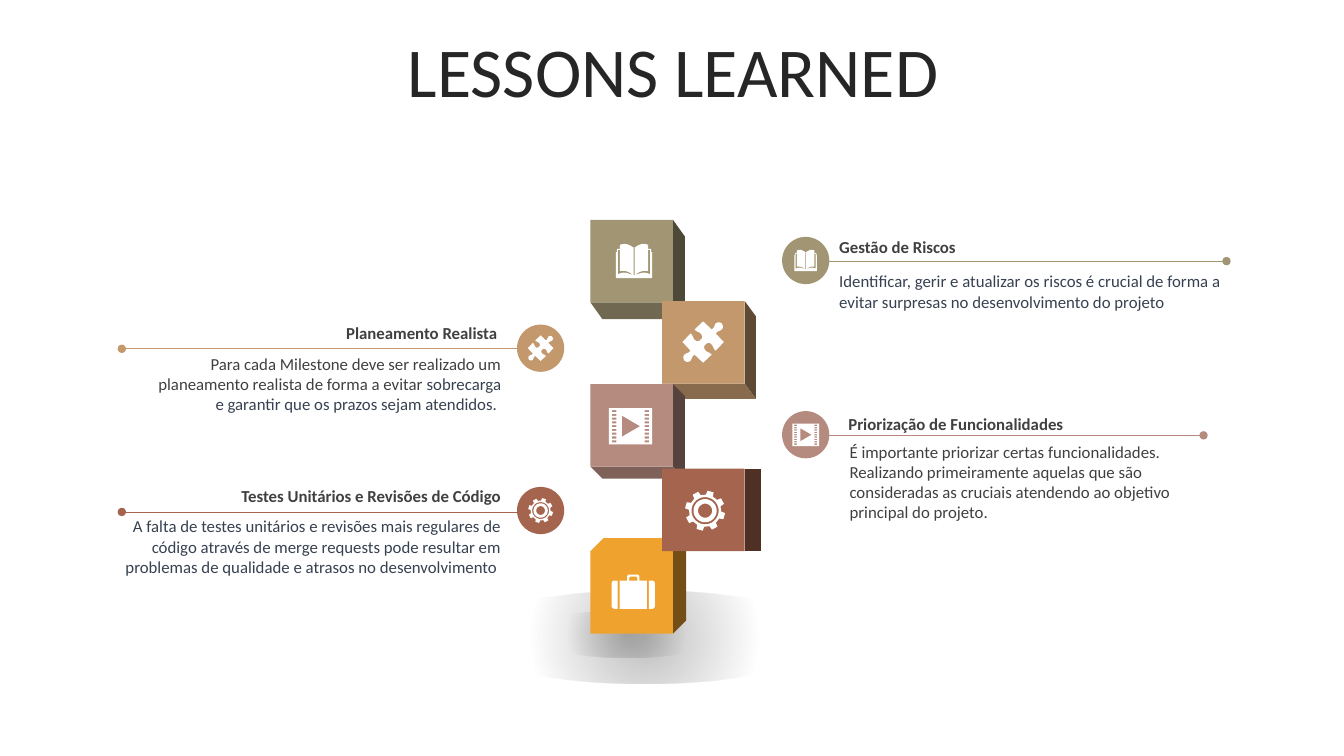
import math

import lxml.etree
import pptx
import pptx.dml.color
import pptx.enum.shapes
import pptx.enum.text
import pptx.oxml
import pptx.oxml.ns
import pptx.util

Cm = pptx.util.Cm
RGBColor = pptx.dml.color.RGBColor
MSO_SHAPE = pptx.enum.shapes.MSO_SHAPE
PP_ALIGN = pptx.enum.text.PP_ALIGN

OLIVE = RGBColor(0xA1, 0x95, 0x74)
TAN = RGBColor(0xC3, 0x98, 0x6D)
ROSE = RGBColor(0xB5, 0x8B, 0x80)
AMBER = RGBColor(0xF0, 0xA2, 0x2E)
RUST = RGBColor(0xA5, 0x64, 0x4E)
WHITE = RGBColor(0xFF, 0xFF, 0xFF)
TITLE_INK = RGBColor(0x26, 0x26, 0x26)
INK = RGBColor(0x40, 0x40, 0x40)
SLATE = RGBColor(0x37, 0x41, 0x51)

FONT = "Calibri"
CUBE_SIDE = 2.08
BADGE_SIZE = 1.19
RULE_LENGTH = 10.01
ICON_UNIT = 0.0254
BADGE_ICON_SCALE = 0.62


# Outlines: a pair is a corner, a triple of pairs is a cubic curve
def flatten(outline):
    points = []
    for step in outline:
        if not isinstance(step[0], tuple):
            points.append(step)
            continue
        controls = (points[-1], *step)
        for i in range(1, 7):
            t = i / 6
            weights = ((1 - t) ** 3, 3 * t * (1 - t) ** 2, 3 * t * t * (1 - t), t ** 3)
            points.append(tuple(sum(w * c[axis] for w, c in zip(weights, controls))
                                for axis in (0, 1)))
    return points


def mirrored(points):
    return [(-x, y) for x, y in reversed(points)]


def box(left, top, right, bottom):
    return [(left, top), (right, top), (right, bottom), (left, bottom)]


def circle(radius):
    return [(radius * math.cos(math.tau * i / 36), radius * math.sin(math.tau * i / 36))
            for i in range(36)]


# Icons: lists of contours around a centre
def book_icon():
    cover = flatten([(-18, 17), (-18, -9), (-17, -9), (-17, -12), (-14, -12), (-14, -16),
                     ((-12, -17), (-10, -17), (-9, -17)), ((-6, -17), (-3, -15), (0, -13))])
    slot = flatten([(-16, -11), (-16, 13), ((-10, 10), (-6, 12), (-1, 14)),
                    ((-5, 10), (-10, 9), (-14, 10)), (-14, -11)])
    return [cover + mirrored(cover), slot, mirrored(slot), box(-0.5, -13, 0.5, 14)]


def puzzle_icon():
    half = flatten([
        (18.5, -18.5), ((19.5, -16.5), (20.5, -14.5), (18.5, -12.5)),
        ((16.5, -10.5), (14.5, -11.5), (12.5, -8.5)), (20.5, 0), (12.5, 8.5),
        ((9.5, 6.5), (10.5, 3.5), (7.5, 1.5)), ((6.5, 0.5), (3.5, 0.5), (2.5, 2.5)),
        ((0.5, 3.5), (0.5, 6.5), (2.5, 8.5)), ((4.5, 10.5), (5.5, 9.5), (8.5, 12.5)),
        (0, 20.5), (-8.5, 12.5), ((-11.5, 14.5), (-10.5, 15.5), (-12.5, 18.5)),
        ((-14.5, 20.5), (-17.5, 19.5), (-18.5, 18.5))])
    return [half + [(-x, -y) for x, y in half]]


def film_icon():
    contours = [box(-21.5, -18, 21.5, 18), [(-8.5, -10.5), (-8.5, 10.5), (9.5, 0)]]
    for row in range(9):
        top = -16 + 3.75 * row
        contours += [box(left, top, left + 4.5, top + 2) for left in (-18.5, 14)]
    return contours


def gear_icon():
    teeth = []
    for tooth in range(8):
        for radius, offset in ((16, -13), (20, -9), (20, 9), (16, 13)):
            angle = math.radians(16 + 45 * tooth + offset)
            teeth.append((radius * math.cos(angle), radius * math.sin(angle)))
    return [teeth, circle(13.5), circle(11.5), circle(7)]


def suitcase_icon():
    end = flatten([(-15.5, -11), (-15.5, 17), (-18.5, 17),
                   ((-20, 17), (-21.5, 16), (-21.5, 14)), (-21.5, -8),
                   ((-21.5, -10), (-20, -11), (-18.5, -11))])
    body = flatten([(-13.5, 17), (-13.5, -11), (-6, -11), (-6, -15),
                    ((-6, -16), (-5, -17), (-4.5, -17))])
    grip = flatten([(-4, -11), (-4, -13), ((-4, -14), (-3.5, -15), (-3, -15))])
    return [end, mirrored(end), body + mirrored(body), grip + mirrored(grip)]


# Drawing helpers
def paint(shape, colour):
    shape.shadow.inherit = False
    shape.fill.solid()
    shape.fill.fore_color.rgb = colour
    shape.line.fill.background()


def add_outline(slide, contours, colour):
    first, *others = [[(Cm(x), Cm(y)) for x, y in contour] for contour in contours]
    builder = slide.shapes.build_freeform(*first[0])
    builder.add_line_segments(first[1:])
    for contour in others:
        builder.move_to(*contour[0])
        builder.add_line_segments(contour[1:])
    paint(builder.convert_to_shape(), colour)


def add_icon(slide, contours, x, y, scale=1.0):
    unit = ICON_UNIT * scale
    add_outline(slide, [[(x + unit * px, y + unit * py) for px, py in contour]
                        for contour in contours], WHITE)


def shade(colour, factor):
    return RGBColor(*(round(channel * factor) for channel in colour))


def add_cube(slide, left, top, colour, depth_x, depth_y, cap_shade):
    right, bottom = left + CUBE_SIDE, top + CUBE_SIDE
    add_outline(slide, [[(right, top), (right + depth_x, top + depth_y),
                         (right + depth_x, bottom + depth_y), (right, bottom)]],
                shade(colour, 0.48))
    if depth_y:
        edge = bottom if depth_y > 0 else top
        add_outline(slide, [[(left, edge), (right, edge), (right + depth_x, edge + depth_y),
                             (left + depth_x, edge + depth_y)]], shade(colour, cap_shade))
    front = slide.shapes.add_shape(MSO_SHAPE.RECTANGLE, Cm(left), Cm(top),
                                   Cm(CUBE_SIDE), Cm(CUBE_SIDE))
    paint(front, colour)


def add_ground_shadow(slide, left, top, width, height):
    ground = slide.shapes.add_shape(MSO_SHAPE.OVAL, Cm(left), Cm(top), Cm(width), Cm(height))
    paint(ground, WHITE)
    fade = pptx.oxml.parse_xml(
        f'<a:gradFill {pptx.oxml.ns.nsdecls("a")} rotWithShape="1"><a:gsLst>'
        '<a:gs pos="0"><a:srgbClr val="808080"><a:alpha val="51000"/></a:srgbClr></a:gs>'
        '<a:gs pos="60000"><a:srgbClr val="808080"><a:alpha val="0"/></a:srgbClr></a:gs>'
        '<a:gs pos="100000"><a:srgbClr val="808080"><a:alpha val="0"/></a:srgbClr></a:gs>'
        '</a:gsLst><a:path path="circle"><a:fillToRect l="50000" t="50000" r="50000" b="50000"/>'
        '</a:path></a:gradFill>')
    properties = ground.fill._xPr
    properties.replace(properties.find(pptx.oxml.ns.qn("a:solidFill")), fade)


def add_rule(slide, left, y, colour, dot_end):
    rule = slide.shapes.add_connector(pptx.enum.shapes.MSO_CONNECTOR.STRAIGHT, Cm(left), Cm(y),
                                      Cm(left + RULE_LENGTH), Cm(y))
    rule.line.color.rgb = colour
    rule.line.width = pptx.util.Pt(0.5)
    qn = pptx.oxml.ns.qn
    lxml.etree.SubElement(rule.line._get_or_add_ln(), qn(f"a:{dot_end}"), type="oval")
    lxml.etree.SubElement(rule._element.spPr, qn("a:effectLst"))


def add_text(slide, left, top, width, height, parts, align, bold=False):
    caption = slide.shapes.add_textbox(Cm(left), Cm(top), Cm(width), Cm(height))
    caption.text_frame.word_wrap = True
    paragraph = caption.text_frame.paragraphs[0]
    paragraph.alignment = align
    for words, colour in parts:
        run = paragraph.add_run()
        run.text = words
        run.font.name, run.font.size, run.font.bold = FONT, pptx.util.Pt(12), bold
        run.font.color.rgb = colour


def add_lesson(slide, badge, rule, heading_box, body_box, colour, icon, heading, body, align):
    disc = slide.shapes.add_shape(MSO_SHAPE.OVAL, Cm(badge[0]), Cm(badge[1]),
                                  Cm(BADGE_SIZE), Cm(BADGE_SIZE))
    paint(disc, colour)
    add_text(slide, *body_box, body, align)
    add_text(slide, *heading_box, 9.4, 0.76, [(heading, INK)], align, bold=True)
    add_rule(slide, *rule, colour, "tailEnd" if align == PP_ALIGN.LEFT else "headEnd")
    add_icon(slide, icon, badge[0] + BADGE_SIZE / 2, badge[1] + BADGE_SIZE / 2, BADGE_ICON_SCALE)


def add_title(slide, words):
    title = slide.shapes.title
    title.left, title.top, title.width, title.height = Cm(0.89), Cm(0.94), Cm(32.16), Cm(2.01)
    frame = title.text_frame
    frame.text = words
    frame.auto_size = pptx.enum.text.MSO_AUTO_SIZE.NONE
    frame.vertical_anchor = pptx.enum.text.MSO_ANCHOR.MIDDLE
    paragraph = frame.paragraphs[0]
    paragraph.alignment, paragraph.line_spacing = PP_ALIGN.CENTER, 0.8
    font = paragraph.runs[0].font
    font.name, font.size, font.color.rgb = FONT, pptx.util.Pt(50), TITLE_INK


def main():
    deck = pptx.Presentation()
    deck.slide_width, deck.slide_height = Cm(33.87), Cm(19.05)
    slide = deck.slides.add_slide(deck.slide_layouts[5])
    add_title(slide, "LESSONS LEARNED")
    book, puzzle, film, gear = book_icon(), puzzle_icon(), film_icon(), gear_icon()

    # Lessons on both sides
    add_lesson(slide, (19.71, 5.97), (20.9, 6.58), (20.9, 5.84), (20.9, 6.71, 10.34, 1.27),
               OLIVE, book, "Gestão de Riscos",
               [("Identificar, gerir e atualizar os riscos é crucial de forma a evitar surpresas "
                 "no desenvolvimento do projeto", SLATE)], PP_ALIGN.LEFT)
    add_lesson(slide, (13.03, 8.18), (3.07, 8.79), (3.48, 8), (3.48, 8.79, 9.4, 1.8),
               TAN, puzzle, "Planeamento Realista ",
               [("Para cada Milestone deve ser realizado um planeamento realista de forma a "
                 "evitar ", INK),
                ("sobrecarga e garantir que os prazos sejam atendidos. ", SLATE)], PP_ALIGN.RIGHT)
    add_lesson(slide, (19.71, 10.36), (20.32, 10.97), (21.13, 10.29), (21.16, 11, 9.4, 2.31),
               ROSE, film, "Priorização de Funcionalidades",
               [("É importante priorizar certas funcionalidades. Realizando primeiramente aquelas "
                 "que são consideradas as cruciais atendendo ao objetivo principal do projeto.",
                 INK)], PP_ALIGN.LEFT)
    add_lesson(slide, (13.03, 12.27), (3.07, 12.9), (3.48, 12.12), (2.87, 12.88, 10.01, 1.8),
               RUST, gear, "Testes Unitários e Revisões de Código",
               [("A falta de testes unitários e revisões mais regulares de código através de merge "
                 "requests pode resultar em problemas de qualidade e atrasos no desenvolvimento ",
                 SLATE)], PP_ALIGN.RIGHT)

    # Tower of cubes on its shadow
    add_ground_shadow(slide, 11.58, 14.88, 9.32, 2.34)
    add_ground_shadow(slide, 13.39, 15.39, 4.8, 1.19)
    add_cube(slide, 14.88, 5.54, OLIVE, 0.3, 0.42, 0.7)
    add_cube(slide, 16.69, 7.59, TAN, 0.28, 0.38, 0.7)
    add_cube(slide, 14.88, 9.68, ROSE, 0.3, 0.3, 0.7)
    add_cube(slide, 14.88, 13.89, AMBER, 0.33, -0.33, 1)
    add_cube(slide, 16.69, 11.81, RUST, 0.42, 0, 1)
    add_icon(slide, book, 15.98, 6.58)
    add_icon(slide, puzzle, 17.72, 8.62)
    add_icon(slide, film, 15.89, 10.74)
    add_icon(slide, suitcase_icon(), 15.96, 14.91)
    add_icon(slide, gear, 17.77, 12.87)
    deck.save("out.pptx")


if __name__ == "__main__":
    main()
